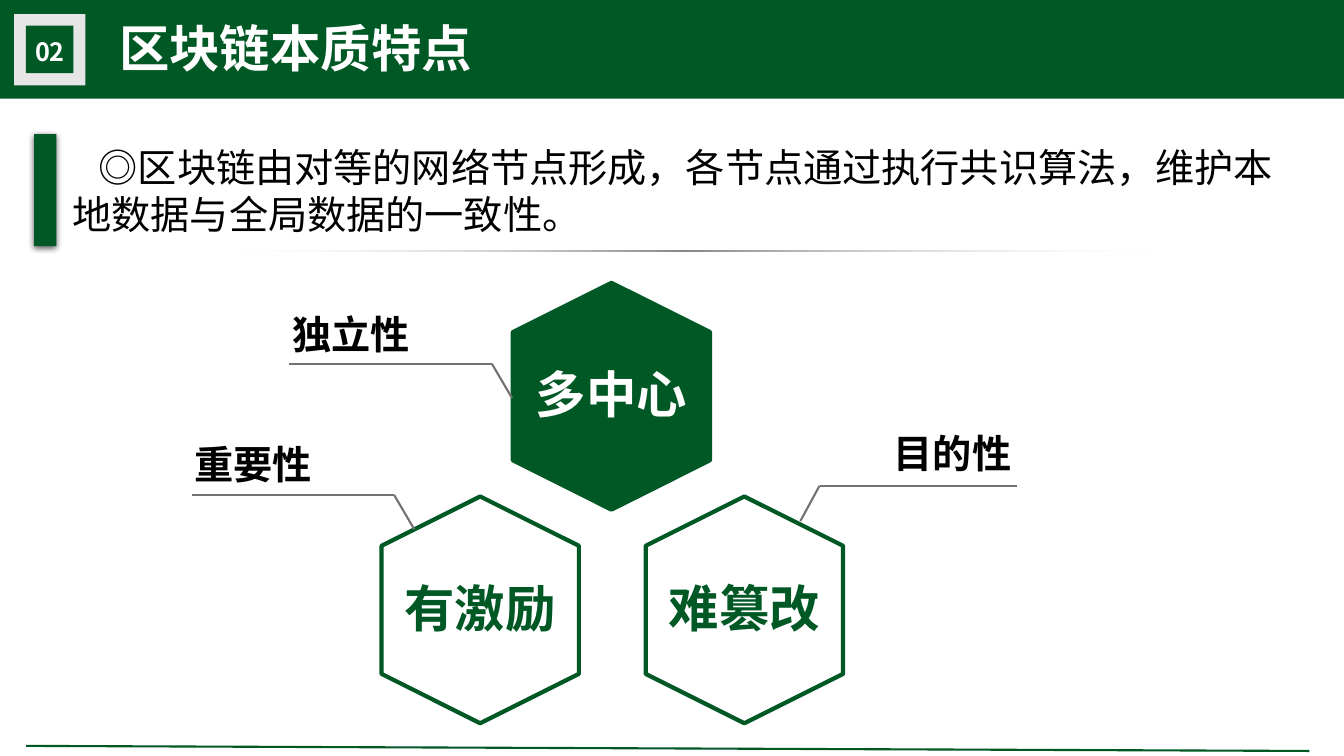
from lxml import etree
from pptx import Presentation
from pptx.dml.color import RGBColor as RGB
from pptx.enum.shapes import MSO_CONNECTOR as CONN, MSO_SHAPE as SHAPE
from pptx.enum.text import MSO_ANCHOR as ANCHOR, MSO_AUTO_SIZE as AUTO, PP_ALIGN as ALIGN
from pptx.oxml import parse_xml
from pptx.oxml.ns import nsdecls, qn
from pptx.util import Pt


class Theme:
    font = "Noto Sans CJK SC"
    green = RGB.from_string("005825")
    white = RGB.from_string("FFFFFF")
    black = RGB.from_string("000000")
    silver = RGB.from_string("E7E6E6")
    grey = RGB.from_string("767171")
    heading, body, number = Pt(36), Pt(28), Pt(18)


def write(shape, text, size=Theme.body, color=Theme.black, bold=True,
          align=ALIGN.LEFT, anchor=ANCHOR.MIDDLE, wrap=True, top=0):
    """Fill a text shape with one paragraph and return the paragraph."""
    tf = shape.text_frame
    tf.word_wrap, tf.auto_size, tf.vertical_anchor = wrap, AUTO.NONE, anchor
    tf.margin_top, tf.margin_bottom = Pt(top), 0
    p = tf.paragraphs[0]
    p.alignment, p.space_before = align, 0
    r = p.add_run()
    r.text = text
    r.font.size, r.font.bold, r.font.name = size, bold, Theme.font
    r.font.color.rgb = color
    ea = etree.SubElement(r.font._element, qn("a:ea"))
    ea.set("typeface", Theme.font)
    return p


def block(kind, box, fill=None, line=None):
    """Add a preset shape; box is left, top, width, height in points."""
    sp = s.shapes.add_shape(kind, *map(Pt, box))
    sp.shadow.inherit = False
    if fill is None:
        sp.fill.background()
    else:
        sp.fill.solid()
        sp.fill.fore_color.rgb = fill
    if line is None:
        sp.line.fill.background()
    else:
        sp.line.color.rgb, sp.line.width = line, Pt(3)
    return sp


prs = Presentation()
prs.slide_width, prs.slide_height = Pt(960), Pt(540)
s = prs.slides.add_slide(prs.slide_layouts[1])
title, body = s.placeholders

# Header band with the section number
band = block(SHAPE.RECTANGLE, (0, 0, 960, 70.5), Theme.green)
band.element.addnext(title.element)
block(SHAPE.RECTANGLE, (10, 10, 51, 51), Theme.silver)
block(SHAPE.RECTANGLE, (18.5, 18.3, 34, 34), Theme.green)
number = s.shapes.add_textbox(Pt(18), Pt(22.3), Pt(36.7), Pt(28.8))
write(number, "02", Theme.number, Theme.white, wrap=False)
title.left, title.top, title.width, title.height = map(Pt, (77.8, 8.6, 674.6, 51.1))
write(title, "区块链本质特点", Theme.heading, Theme.white)

# Introduction with its marker bar
body.left, body.top, body.width, body.height = map(Pt, (44.6, 95.8, 888.5, 74.9))
p = write(body, "◎区块链由对等的网络节点形成，各节点通过执行共识算法，维护本地数据与全局数据的一致性。",
          bold=False, anchor=ANCHOR.TOP, top=6.5)
p.line_spacing = Pt(33.6)
pPr = p._p.get_or_add_pPr()
pPr.set("marL", "0")
pPr.set("indent", str(Pt(18.8)))
etree.SubElement(pPr, qn("a:buNone"))

bar = block(SHAPE.RECTANGLE, (24.4, 95.8, 16, 80), Theme.green)
bar.element.spPr.find(qn("a:effectLst")).append(parse_xml(
    f'<a:outerShdw {nsdecls("a")} blurRad="{Pt(4.5)}" dist="{Pt(1.5)}" dir="5400000" '
    'algn="t" rotWithShape="0"><a:srgbClr val="000000"><a:alpha val="63000"/>'
    '</a:srgbClr></a:outerShdw>'))

divider = block(SHAPE.RECTANGLE, (132.5, 178.6, 712.8, 1))
no_fill = divider.element.spPr.find(qn("a:noFill"))
divider.element.spPr.replace(no_fill, parse_xml(
    f'<a:gradFill {nsdecls("a")} rotWithShape="1"><a:gsLst>'
    '<a:gs pos="2000"><a:srgbClr val="FFFFFF"><a:alpha val="0"/></a:srgbClr></a:gs>'
    '<a:gs pos="50000"><a:srgbClr val="808080"/></a:gs>'
    '<a:gs pos="100000"><a:srgbClr val="FFFFFF"><a:alpha val="0"/></a:srgbClr></a:gs>'
    '</a:gsLst><a:lin ang="0" scaled="0"/></a:gradFill>'))

# Hexagons: label, centre, fill, text colour
hex_w, hex_h, label_w, label_h = 162, 141, 128, 51
for text, cx, cy, fill, color in [
    ("多中心", 436.7, 283, Theme.green, Theme.white),
    ("有激励", 343, 435.6, None, Theme.green),
    ("难篡改", 531.7, 435.6, None, Theme.green),
]:
    hexagon = block(SHAPE.HEXAGON, (cx - hex_w / 2, cy - hex_h / 2, hex_w, hex_h),
                    fill, Theme.green)
    hexagon.rotation = 90
    label = s.shapes.add_textbox(Pt(cx - label_w / 2), Pt(cy - 2 - label_h / 2),
                                 Pt(label_w), Pt(label_h))
    write(label, text, Theme.heading, color, align=ALIGN.CENTER)

# Callouts: label, its corner, then tip, elbow and end of the leader
lines = [((18.7, 532.8), (935.3, 536.4), Theme.green)]
for text, corner, tip, elbow, end in [
    ("独立性", (201.6, 218.2), (365.8, 284.4), (351.4, 259.9), (206.6, 259.9)),
    ("重要性", (131.8, 311), (295.9, 378), (281.5, 353.5), (136.8, 353.5)),
    ("目的性", (631.4, 303.1), (571.7, 372.2), (585.4, 347), (726.5, 347)),
]:
    write(s.shapes.add_textbox(*map(Pt, (*corner, 165, 41))), text)
    lines += [(tip, elbow, Theme.grey), (end, elbow, Theme.grey)]

for start, stop, color in lines:
    line = s.shapes.add_connector(CONN.STRAIGHT, *map(Pt, (*start, *stop)))
    line.line.color.rgb, line.line.width = color, Pt(1.5)
    etree.SubElement(line.element.spPr, qn("a:effectLst"))

prs.save("out.pptx")
